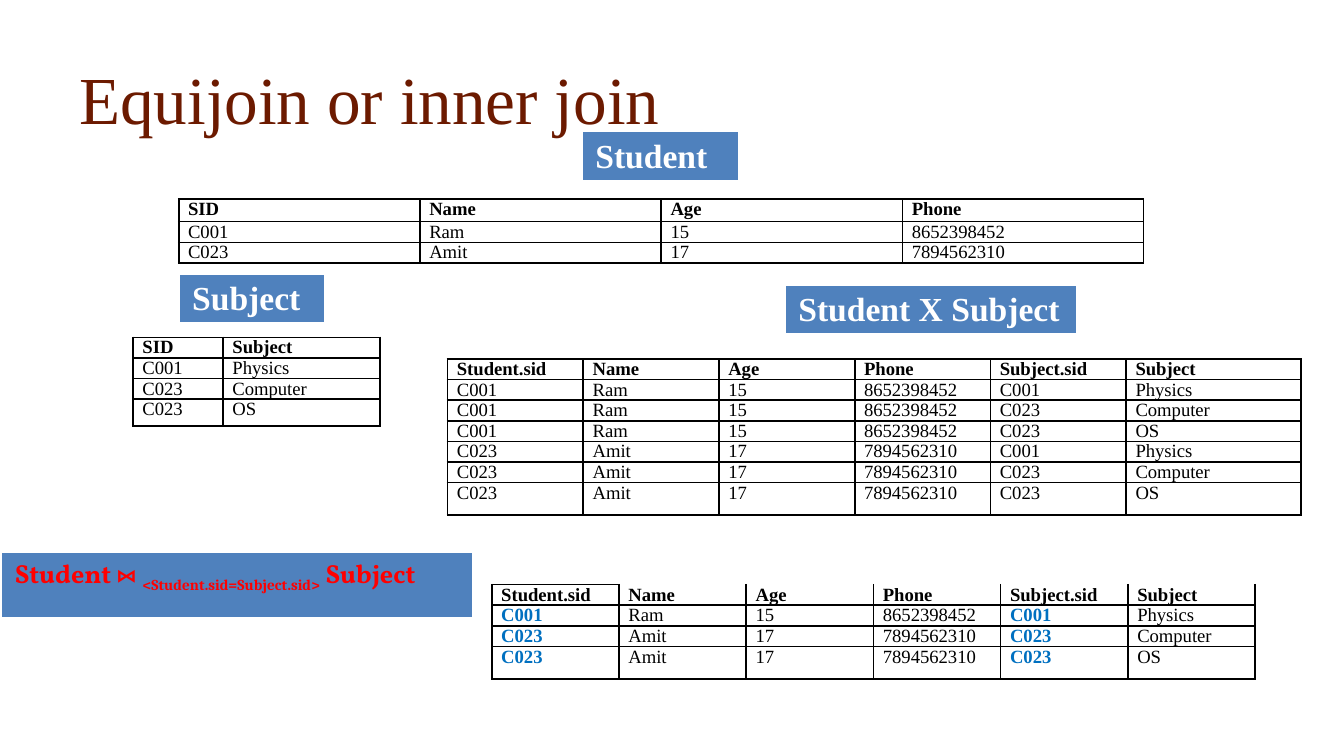
from lxml import etree
from pptx import Presentation
from pptx.dml.color import RGBColor
from pptx.enum import text
from pptx.oxml import ns
from pptx.util import Inches, Pt

BLACK, WHITE = RGBColor(0, 0, 0), RGBColor(255, 255, 255)
BROWN, RED = RGBColor(0x6C, 0x1A, 0x00), RGBColor(255, 0, 0)
BANNER_BLUE, KEY_BLUE = RGBColor(0x4F, 0x81, 0xBD), RGBColor(0x00, 0x70, 0xC0)
SERIF = "Times New Roman"

TITLE = "Equijoin or inner join"
STUDENTS = [("C001", "Ram", "15", "8652398452"), ("C023", "Amit", "17", "7894562310")]
SUBJECTS = [("C001", "Physics"), ("C023", "Computer"), ("C023", "OS")]
JOINED_HEAD = ("Student.sid", "Name", "Age", "Phone", "Subject.sid", "Subject")
PRODUCT = [student + subject for student in STUDENTS for subject in SUBJECTS]
EQUIJOIN = [row for row in PRODUCT if row[0] == row[4]]

# left, top, column widths, row heights, rows, paragraph spacing, key columns, open-topped columns
GRIDS = [
    (1.33, 1.48, [7.18 / 4] * 4, [0.17, 0.13, 0.15],
     [("SID", "Name", "Age", "Phone")] + STUDENTS, 6, (), ()),
    (0.99, 2.51, [0.67, 1.17], [0.06, 0.13, 0.13, 0.2],
     [("SID", "Subject")] + SUBJECTS, 6, (), ()),
    (3.33, 2.67, [1.01] * 5 + [1.3], [0.15] * 6 + [0.24],
     [JOINED_HEAD] + PRODUCT, 0, (), ()),
    (3.66, 4.35, [5.68 / 6] * 6, [0.06, 0.13, 0.13, 0.24],
     [JOINED_HEAD] + EQUIJOIN, 6, (0, 4), range(1, 6)),
]

# left, top, width, height, paragraph spacing, spans of (words, font, size, colour, baseline)
BANNERS = [
    (4.33, 0.98, 1.17, 0.33, 0, [("Student", SERIF, 18, WHITE, 0)]),
    (1.33, 2.04, 1.09, 0.13, 0, [("Subject", SERIF, 18, WHITE, 0)]),
    (5.84, 2.12, 2.17, 0.33, 0, [("Student X Subject", SERIF, 18, WHITE, 0)]),
    (0.01, 4.11, 3.51, 0.5, 6, [
        ("Student\u00a0", "Vollkorn", 14, RED, 0),
        ("\u22c8\u00a0", "Cambria", 14, RED, 0),
        ("<Student.sid=Subject.sid>", "Cambria", 14, RED, -25000),
        ("\u00a0Subject", "Vollkorn", 14, RED, 0)]),
]


def add_span(para, words, name, size, color, bold=True, baseline=0):
    """Add one formatted run to a paragraph."""
    span = para.add_run()
    span.text = words
    for key, value in {"name": name, "size": Pt(size), "bold": bold}.items():
        setattr(span.font, key, value)
    span.font.color.rgb = color
    if baseline:
        span.font._element.set("baseline", str(baseline))


def add_plain_table(page, left, top, widths, heights):
    """Add a table without banding, with the given columns and rows."""
    frame = page.shapes.add_table(len(heights), len(widths), Inches(left), Inches(top),
                                  Inches(sum(widths)), Inches(sum(heights)))
    table = frame.table
    table.first_row = table.horz_banding = False
    for column, width in zip(table.columns, widths):
        column.width = Inches(width)
    for row, height in zip(table.rows, heights):
        row.height = Inches(height)
    return table


def style_cell(cell, fill, border, points, spacing):
    """Set borders (points by side), fill and spacing; return the paragraph."""
    properties = cell._tc.get_or_add_tcPr()
    for side, width in points.items():
        line = etree.SubElement(properties, ns.qn("a:ln" + side), w=str(Pt(width)))
        solid = etree.SubElement(line, ns.qn("a:solidFill"))
        etree.SubElement(solid, ns.qn("a:srgbClr"), val=str(border))
    cell.fill.solid()
    cell.fill.fore_color.rgb = fill
    para = cell.text_frame.paragraphs[0]
    para.space_before = para.space_after = Pt(spacing)
    return para


def add_grid(page, left, top, widths, heights, rows, spacing, keys, open_tops):
    """Add a bordered data table with a bold header and highlighted key columns."""
    table = add_plain_table(page, left, top, widths, heights)
    for r, row in enumerate(rows):
        for c, words in enumerate(row):
            cell = table.cell(r, c)
            sides = "LRB" if r == 0 and c in open_tops else "LRTB"
            para = style_cell(cell, WHITE, BLACK, dict.fromkeys(sides, 1), spacing)
            cell.margin_left = cell.margin_right = Inches(0.07)
            cell.margin_top = cell.margin_bottom = 0
            is_key = r > 0 and c in keys
            add_span(para, words, SERIF, 10, KEY_BLUE if is_key else BLACK, r == 0 or is_key)


def add_banner(page, left, top, width, height, spacing, spans):
    """Add a one-cell blue table that labels a relation."""
    cell = add_plain_table(page, left, top, [width], [height]).cell(0, 0)
    para = style_cell(cell, BANNER_BLUE, WHITE, {"L": 1, "R": 1, "T": 1, "B": 3}, spacing)
    for words, name, size, color, baseline in spans:
        add_span(para, words, name, size, color, baseline=baseline)


def add_title(page):
    """Place and format the title placeholder."""
    title = page.shapes.title
    place = {"left": 0.49, "top": 0.31, "width": 9.02, "height": 0.84}
    for key, value in place.items():
        setattr(title, key, Inches(value))
    frame = title.text_frame
    frame.auto_size = text.MSO_AUTO_SIZE.NONE
    frame.vertical_anchor = text.MSO_ANCHOR.MIDDLE
    para = frame.paragraphs[0]
    para.alignment = text.PP_ALIGN.LEFT
    add_span(para, TITLE, SERIF, 36, BROWN, bold=False)


deck = Presentation()
deck.slide_width = Inches(10)
deck.slide_height = Inches(10 * 9 / 16)
page = deck.slides.add_slide(deck.slide_layouts[5])
add_title(page)
for grid in GRIDS:
    add_grid(page, *grid)
for banner in BANNERS:
    add_banner(page, *banner)
deck.save("out.pptx")
